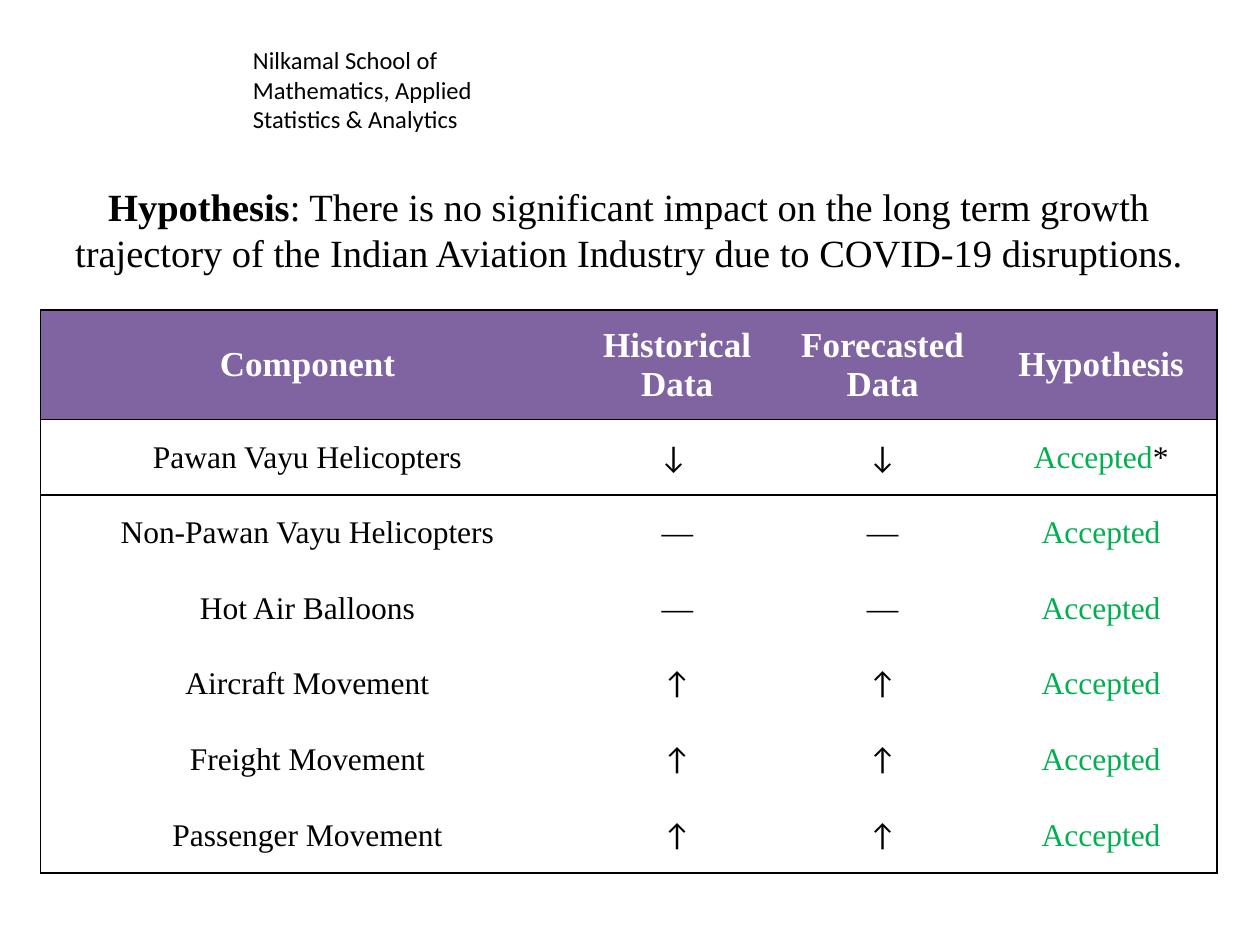
from pptx import Presentation
from pptx.dml.color import RGBColor
from pptx.enum.shapes import MSO_SHAPE
from pptx.enum.text import MSO_ANCHOR, MSO_AUTO_SIZE, PP_ALIGN
from pptx.oxml import parse_xml
from pptx.oxml.ns import nsdecls, qn
from pptx.util import Inches, Pt

COLORS = {"ink": "000000", "paper": "FFFFFF", "header": "8064A2", "accepted": "00B050"}
SERIF, SANS = "Times New Roman", "Calibri"
NO_STYLE_NO_GRID = "{2D5ABB26-0587-4C30-8999-92F81FD0307C}"

HEADINGS = ["Component", "Historical Data", "Forecasted Data", "Hypothesis"]
RESULTS = [
    ("Pawan Vayu Helicopters", "↓ ", "↓"),
    ("Non-Pawan Vayu Helicopters", "—", "—"),
    ("Hot Air Balloons", "—", "—"),
    ("Aircraft Movement", "↑", "↑"),
    ("Freight Movement", "↑", "↑"),
    ("Passenger Movement", "↑", "↑"),
]
COLUMN_WIDTHS = [4.24, 1.63, 1.63, 1.84]
HEADER_HEIGHT, ROW_HEIGHT = 0.87, 0.6


def color(name):
    return RGBColor.from_string(COLORS[name])


def add_span(para, text, size=18, font=SERIF, ink="ink", bold=False):
    span = para.add_run()
    span.text = text
    span.font.size, span.font.name, span.font.bold = Pt(size), font, bold
    span.font.color.rgb = color(ink)


def add_borders(cell, sides):
    """Draw 1 pt lines on the named sides, given in the order L, R, T, B."""
    properties = cell._tc.get_or_add_tcPr()
    for side in sides:
        properties.append(parse_xml(
            f'<a:ln{side} {nsdecls("a")} w="12700"><a:solidFill>'
            f'<a:srgbClr val="{COLORS["ink"]}"/></a:solidFill></a:ln{side}>'))


class SlideBuilder:
    def __init__(self, deck):
        self.page = deck.slides.add_slide(deck.slide_layouts[5])

    def add_school_name(self, text, left, top, width, height):
        box = self.page.shapes.add_shape(
            MSO_SHAPE.RECTANGLE, Inches(left), Inches(top), Inches(width), Inches(height))
        box.shadow.inherit = False
        box.fill.solid()
        box.fill.fore_color.rgb = color("paper")
        box.line.fill.background()
        frame = box.text_frame
        frame.word_wrap = True
        frame.vertical_anchor = MSO_ANCHOR.TOP
        frame.paragraphs[0].alignment = PP_ALIGN.LEFT
        add_span(frame.paragraphs[0], text, size=14, font=SANS)

    def set_title(self, lead, statement, left, top, width, height):
        title = self.page.shapes.title
        title.left, title.top = Inches(left), Inches(top)
        title.width, title.height = Inches(width), Inches(height)
        frame = title.text_frame
        frame.word_wrap = True
        frame.auto_size = MSO_AUTO_SIZE.NONE
        frame.vertical_anchor = MSO_ANCHOR.TOP
        para = frame.paragraphs[0]
        para.alignment = PP_ALIGN.CENTER
        add_span(para, lead, size=22, bold=True)
        add_span(para, statement, size=22)

    def add_results_table(self, left, top):
        row_count, column_count = len(RESULTS) + 1, len(HEADINGS)
        height = HEADER_HEIGHT + ROW_HEIGHT * len(RESULTS)
        holder = self.page.shapes.add_table(
            row_count, column_count, Inches(left), Inches(top),
            Inches(sum(COLUMN_WIDTHS)), Inches(height))
        next(holder.element.iter(qn("a:tableStyleId"))).text = NO_STYLE_NO_GRID
        table = holder.table
        for column, width in zip(table.columns, COLUMN_WIDTHS):
            column.width = Inches(width)
        for index, row in enumerate(table.rows):
            row.height = Inches(ROW_HEIGHT if index else HEADER_HEIGHT)
            for column, cell in enumerate(row.cells):
                edges = {"L": column == 0, "R": column == column_count - 1,
                         "T": index <= 1, "B": index in (0, row_count - 1)}
                add_borders(cell, [side for side, drawn in edges.items() if drawn])
                self.fill_cell(cell, index, column)

    def fill_cell(self, cell, row, column):
        cell.vertical_anchor = MSO_ANCHOR.MIDDLE
        para = cell.text_frame.paragraphs[0]
        para.alignment = PP_ALIGN.CENTER
        if row == 0:
            cell.fill.solid()
            cell.fill.fore_color.rgb = color("header")
            add_span(para, HEADINGS[column], size=20, ink="paper", bold=True)
            return
        cell.fill.background()
        if column < 3:
            text = RESULTS[row - 1][column]
            add_span(para, text, font=SANS if text[0] in "↑↓" else SERIF)
        else:
            add_span(para, "Accepted", ink="accepted")
            if row == 1:
                add_span(para, "*")


def main():
    deck = Presentation()
    deck.slide_width, deck.slide_height = Inches(10), Inches(7.5)
    builder = SlideBuilder(deck)
    builder.add_school_name("Nilkamal School of Mathematics, Applied Statistics & Analytics",
                            1.91, 0.31, 2.04, 0.81)
    builder.add_results_table(0.32, 2.46)
    builder.set_title(
        "Hypothesis",
        ": There is no significant impact on the long term growth trajectory "
        "of the Indian Aviation Industry due to COVID-19 disruptions.",
        0.32, 1.4, 9.34, 0.84)
    deck.save("out.pptx")


if __name__ == "__main__":
    main()
